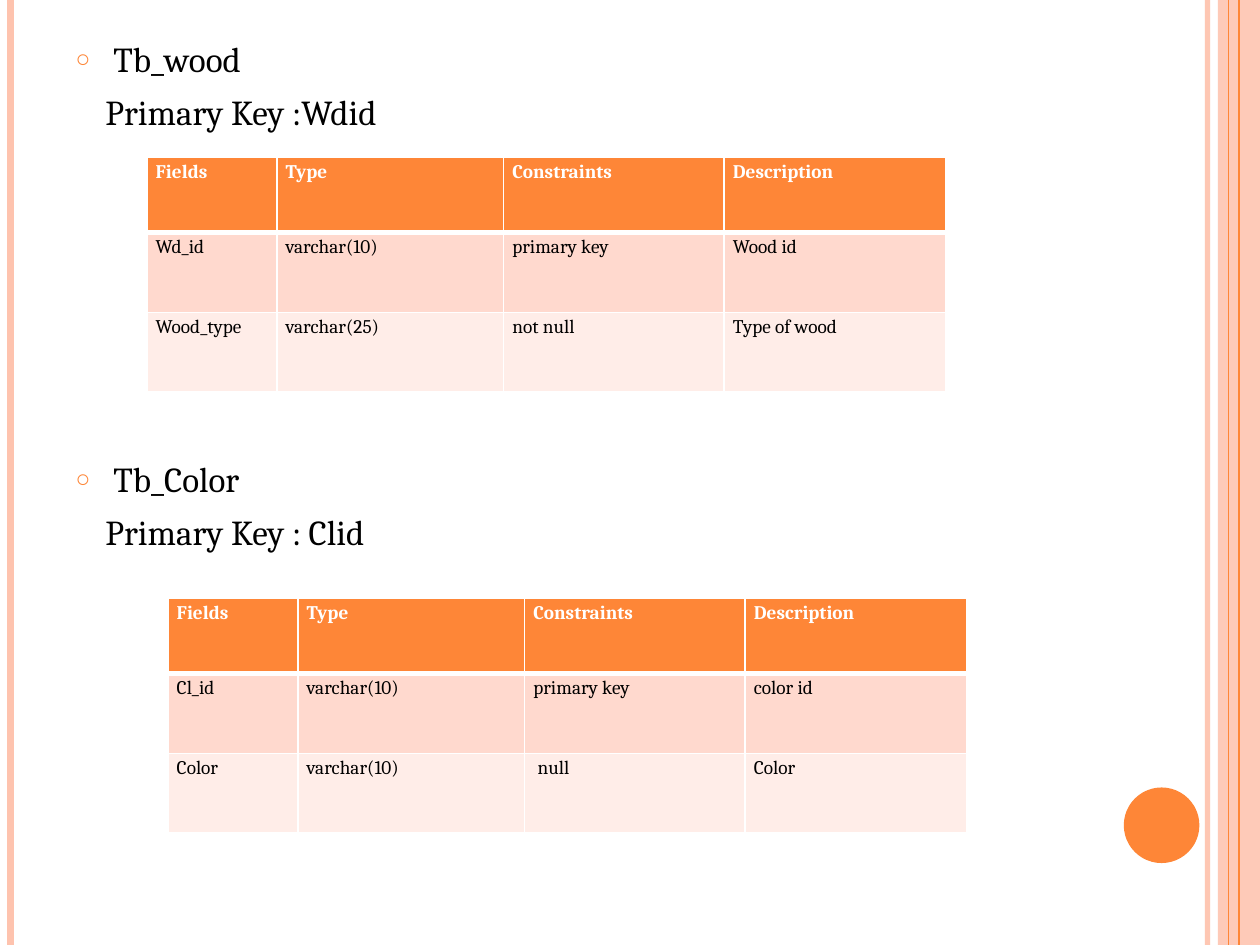
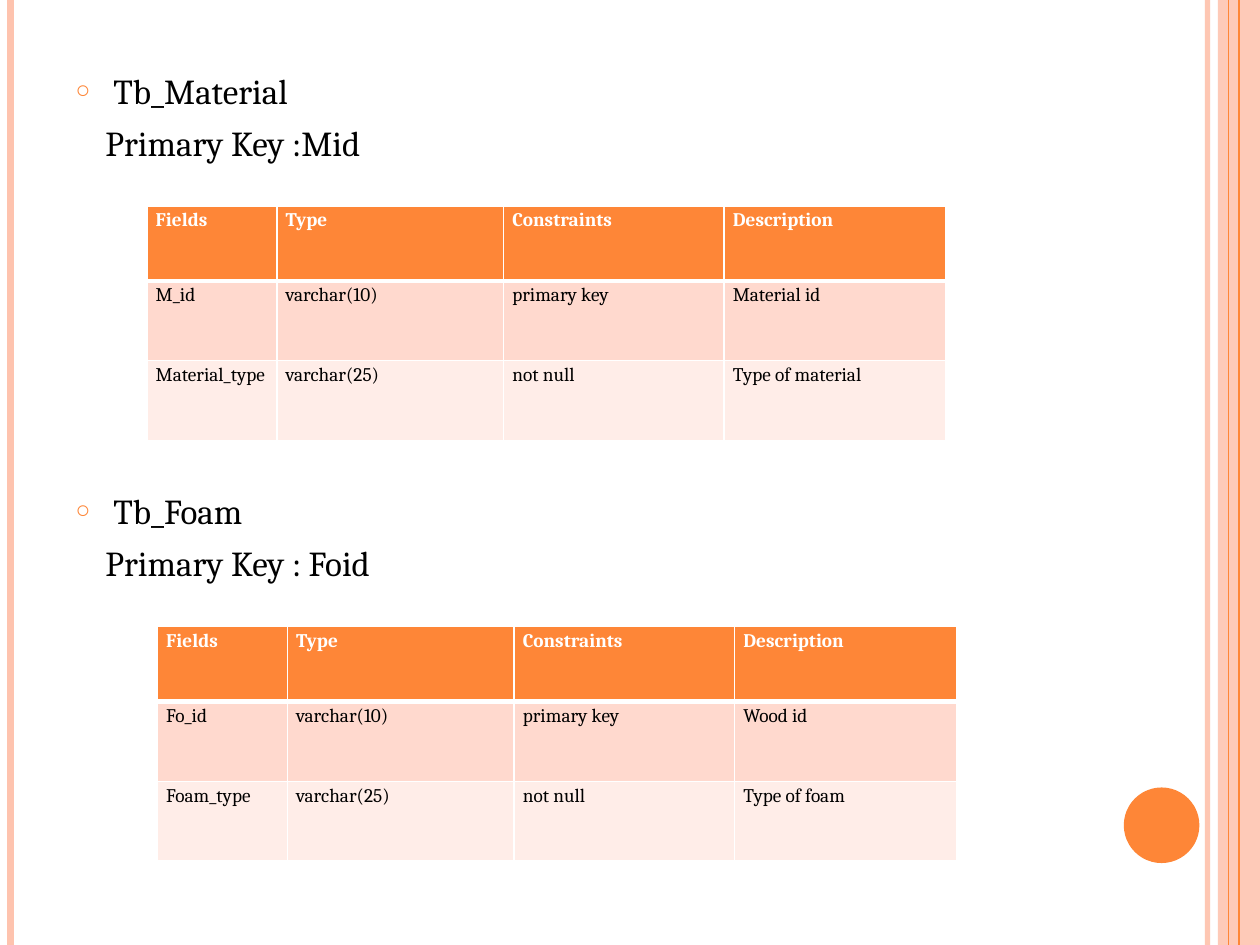
from lxml.etree import SubElement
from pptx import Presentation
from pptx.dml.color import RGBColor
from pptx.enum.shapes import MSO_CONNECTOR as Connector, MSO_SHAPE as Preset
from pptx.enum.text import MSO_AUTO_SIZE as AutoSize, MSO_ANCHOR as Anchor
from pptx.oxml.ns import qn
from pptx.util import Pt

# Shared colours, fonts and measures
ORANGE = RGBColor(0xFE, 0x86, 0x37)
PEACH = RGBColor(0xFE, 0xC3, 0xAE)
ROW_DARK = RGBColor(0xFF, 0xD9, 0xCE)
ROW_LIGHT = RGBColor(0xFF, 0xED, 0xE8)
WHITE = RGBColor(0xFF, 0xFF, 0xFF)
BLACK = RGBColor(0, 0, 0)

WIDTH, HEIGHT = 720, 540
LIST_FORMAT = {"name": "Cambria", "size": Pt(20), "bold": False}
HEADER_FORMAT = {"name": "Cambria", "size": Pt(11), "bold": True}
CELL_FORMAT = {**HEADER_FORMAT, "bold": False}
CELL_MARGINS = {"margin_left": Pt(5), "margin_right": Pt(5),
                "margin_top": 0, "margin_bottom": 0}

COLUMN_WIDTHS = [74.2, 129.6, 126, 126.7]
ROW_HEIGHTS = [43, 45.5, 45.5]
HEADINGS = ["Fields", "Type", "Constraints", "Description"]
LINE_GAP, ENTRY_GAP = 6, 186

# Vertical rules: x, colour, width, opacity in percent
RULES = [(690, PEACH, 3, 93), (6, PEACH, 4.5, 100),
         (708, ORANGE, 1.5, 100), (702, ORANGE, 0.75, 100)]

# Each slide: top of the list, then its database tables
SLIDES = [
    (18, [
        {"name": "Tb_wood", "key": "Primary Key :Wdid", "at": (84, 90),
         "rows": [["Wd_id", "varchar(10)", "primary key", "Wood id"],
                  ["Wood_type", "varchar(25)", "not null", "Type of wood"]]},
        {"name": "Tb_Color", "key": "Primary Key : Clid", "at": (96, 342),
         "rows": [["Cl_id", "varchar(10)", "primary key", "color id"],
                  ["Color", "varchar(10)", " null", "Color"]]},
    ]),
    (36, [
        {"name": "Tb_Material", "key": "Primary Key :Mid", "at": (84, 117.6),
         "rows": [["M_id", "varchar(10)", "primary key", "Material id"],
                  ["Material_type", "varchar(25)", "not null", "Type of material"]]},
        {"name": "Tb_Foam", "key": "Primary Key : Foid", "at": (90, 358),
         "rows": [["Fo_id", "varchar(10)", "primary key", "Wood id"],
                  ["Foam_type", "varchar(25)", "not null", "Type of foam"]]},
    ]),
]


def add_child(parent, tag, **attributes):
    return SubElement(parent, qn(tag), {key: str(value) for key, value in attributes.items()})


def set_opacity(element, percent):
    if percent < 100:
        color = next(element.iter(qn("a:srgbClr")))
        add_child(color, "a:alpha", val=percent * 1000)


def add_run(paragraph, text, formats, color):
    run = paragraph.add_run()
    run.text = text
    for name, value in formats.items():
        setattr(run.font, name, value)
    run.font.color.rgb = color


# Side bands and corner disc
def add_rule(slide, x, color, width, opacity):
    rule = slide.shapes.add_connector(Connector.STRAIGHT, Pt(x), 0, Pt(x), Pt(HEIGHT))
    rule.line.color.rgb = color
    rule.line.width = Pt(width)
    properties = rule._element.spPr
    set_opacity(properties, opacity)
    add_child(properties, "a:effectLst")


def add_filled_shape(slide, preset, box, color, opacity=100):
    shape = slide.shapes.add_shape(preset, *map(Pt, box))
    shape.shadow.inherit = False
    shape.fill.solid()
    shape.fill.fore_color.rgb = color
    shape.line.fill.background()
    set_opacity(shape._element.spPr, opacity)


def add_decoration(slide):
    band_left = 696
    add_filled_shape(slide, Preset.RECTANGLE,
                     (band_left, 0, WIDTH - band_left, HEIGHT), PEACH, 87)
    for rule in RULES:
        add_rule(slide, *rule)
    add_filled_shape(slide, Preset.OVAL, (642.2, 450, 43.2, 43.2), ORANGE)


# List of table names and keys
def set_bullet(paragraph, bulleted):
    properties = paragraph._p.get_or_add_pPr()
    left, hanging = (21.6, -21.6) if bulleted else (17, 0)
    properties.set("marL", str(Pt(left)))
    properties.set("indent", str(Pt(hanging)))
    if bulleted:
        color = add_child(properties, "a:buClr")
        add_child(color, "a:srgbClr", val=ORANGE)
        add_child(properties, "a:buSzPct", val=70000)
        add_child(properties, "a:buChar", char="○")
    else:
        add_child(properties, "a:buNone")


def fill_list(body, top, entries):
    body.left, body.top, body.width, body.height = map(Pt, (36, top, 588, 384))
    frame = body.text_frame
    frame.auto_size = AutoSize.NONE
    frame.vertical_anchor = Anchor.TOP
    paragraph = frame.paragraphs[0]
    for index, entry in enumerate(entries):
        if index:
            paragraph = frame.add_paragraph()
        paragraph.space_before = Pt(ENTRY_GAP if index else 0)
        set_bullet(paragraph, True)
        add_run(paragraph, entry["name"], LIST_FORMAT, BLACK)
        paragraph = frame.add_paragraph()
        paragraph.space_before = Pt(LINE_GAP)
        set_bullet(paragraph, False)
        add_run(paragraph, entry["key"], LIST_FORMAT, BLACK)


# Field tables
def set_borders(cell, row):
    properties = cell._tc.get_or_add_tcPr()
    widths = {"L": 1, "R": 1, "T": 3 if row == 1 else 1, "B": 3 if row == 0 else 1}
    for position, (side, width) in enumerate(widths.items()):
        border = add_child(properties, f"a:ln{side}", w=Pt(width))
        fill = add_child(border, "a:solidFill")
        add_child(fill, "a:srgbClr", val=WHITE)
        properties.insert(position, border)


def format_cell(cell, text, row):
    fill, formats, color = ((ORANGE, HEADER_FORMAT, WHITE) if row == 0 else
                            (ROW_DARK if row % 2 else ROW_LIGHT, CELL_FORMAT, BLACK))
    cell.fill.solid()
    cell.fill.fore_color.rgb = fill
    for name, value in CELL_MARGINS.items():
        setattr(cell, name, value)
    set_borders(cell, row)
    paragraph = cell.text_frame.paragraphs[0]
    paragraph.line_spacing = 1.15
    add_run(paragraph, text, formats, color)


def add_field_table(slide, entry):
    rows = [HEADINGS] + entry["rows"]
    size = sum(COLUMN_WIDTHS), sum(ROW_HEIGHTS)
    table = slide.shapes.add_table(len(rows), len(HEADINGS),
                                   *map(Pt, entry["at"] + size)).table
    for column, width in zip(table.columns, COLUMN_WIDTHS):
        column.width = Pt(width)
    for row, height in zip(table.rows, ROW_HEIGHTS):
        row.height = Pt(height)
    for row_index, texts in enumerate(rows):
        for column_index, text in enumerate(texts):
            format_cell(table.cell(row_index, column_index), text, row_index)


def main():
    presentation = Presentation()
    presentation.slide_width, presentation.slide_height = Pt(WIDTH), Pt(HEIGHT)
    layout = presentation.slide_layouts[1]
    for list_top, entries in SLIDES:
        slide = presentation.slides.add_slide(layout)
        title = slide.shapes.title._element
        title.getparent().remove(title)
        add_decoration(slide)
        fill_list(slide.placeholders[1], list_top, entries)
        for entry in entries:
            add_field_table(slide, entry)
    presentation.save("out.pptx")


if __name__ == "__main__":
    main()
